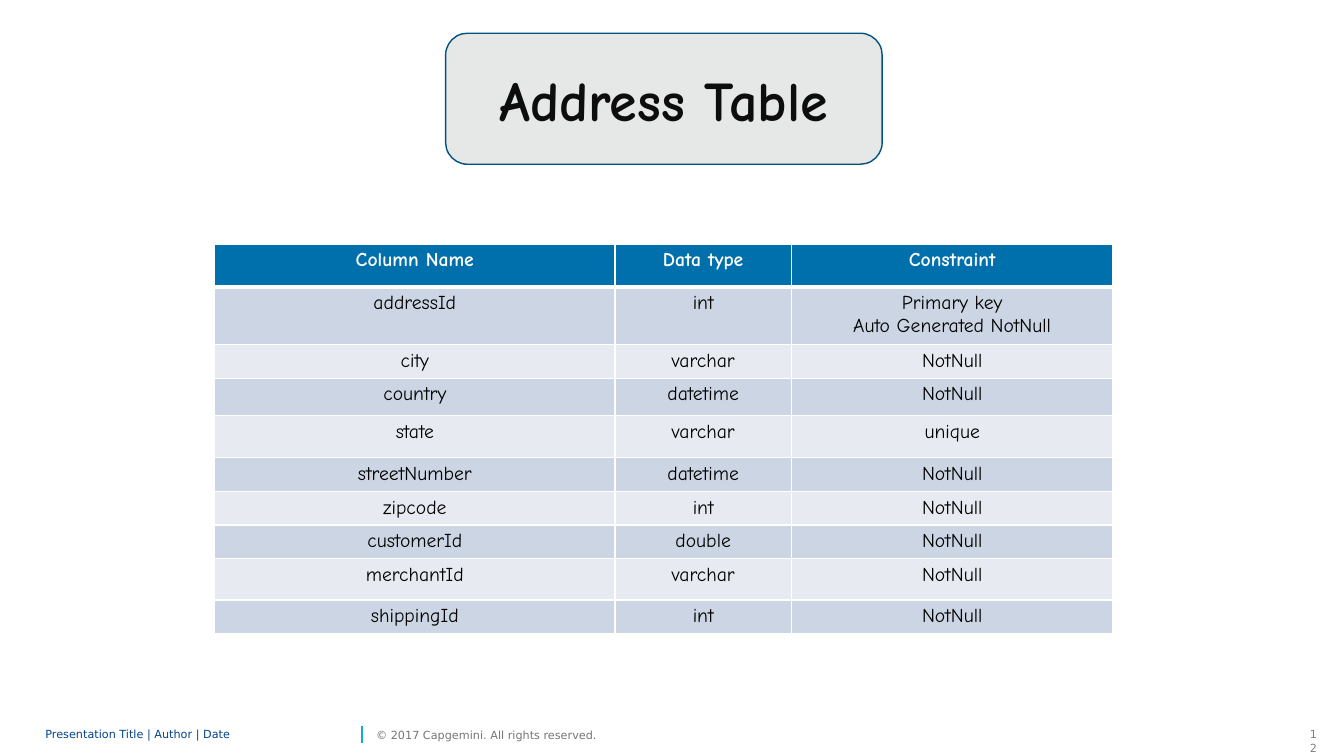
from pptx import Presentation
from pptx.dml.color import RGBColor
from pptx.enum.shapes import MSO_CONNECTOR, MSO_SHAPE
from pptx.enum.text import MSO_ANCHOR, PP_ALIGN
from pptx.oxml.ns import qn
from pptx.util import Pt
from lxml.etree import SubElement

PX = 9144
WHITE = "FFFFFF"
BANDS = ("CCD5E3", "E7EBF1")
COLUMN_WIDTHS = (397, 175, 319)
ROW_HEIGHTS = (43, 55, 32, 37, 42, 32, 32, 32, 41, 32)
ADDRESS_ROWS = (
    ("Column Name", "Data type", "Constraint"),
    ("addressId", "int", "Primary key\nAuto Generated NotNull"),
    ("city", "varchar", "NotNull"),
    ("country", "datetime", "NotNull"),
    ("state", "varchar", "unique"),
    ("streetNumber", "datetime", "NotNull"),
    ("zipcode", "int", "NotNull"),
    ("customerId", "double", "NotNull"),
    ("merchantId", "varchar", "NotNull"),
    ("shippingId", "int", "NotNull"),
)
TITLE_FONT = {"name": "Comic Neue", "size": Pt(40), "bold": True}
HEADER_FONT = {"name": "Comic Neue", "size": Pt(14), "bold": True}
BODY_FONT = {"name": "Comic Neue", "size": Pt(14), "bold": False}
FOOTER_FONT = {"name": "DejaVu Sans", "size": Pt(8)}
NO_MARGINS = dict.fromkeys(
    ("margin_left", "margin_top", "margin_right", "margin_bottom"), 0)


def px(*lengths):
    return [length * PX for length in lengths]


def set_attributes(target, values):
    for name, value in values.items():
        setattr(target, name, value)


def set_color(color_format, color):
    color_format.rgb = RGBColor.from_string(color)


def set_fill(fill, color):
    fill.solid()
    set_color(fill.fore_color, color)


def set_line(line, color):
    set_color(line.color, color)
    line.width = Pt(1)


def write_text(tf, text, font, color, paragraph_format):
    for i, line in enumerate(text.split("\n")):
        p = tf.add_paragraph() if i else tf.paragraphs[0]
        set_attributes(p, paragraph_format)
        r = p.add_run()
        r.text = line
        set_attributes(r.font, font)
        set_color(r.font.color, color)


def add_footer_text(s, box, text, color, frame_format, paragraph_format):
    tf = s.shapes.add_textbox(*px(*box)).text_frame
    set_attributes(tf, frame_format)
    write_text(tf, text, FOOTER_FONT, color, paragraph_format)


def add_divider(s, x, top, bottom, color):
    line = s.shapes.add_connector(MSO_CONNECTOR.STRAIGHT, *px(x, bottom, x, top))
    set_line(line.line, color)
    SubElement(line._element.spPr, qn("a:effectLst"))


def add_title(s, box, text):
    sp = s.shapes.add_shape(MSO_SHAPE.ROUNDED_RECTANGLE, *px(*box))
    sp.shadow.inherit = False
    set_fill(sp.fill, "E6E7E7")
    set_line(sp.line, "005380")
    sp.text_frame.vertical_anchor = MSO_ANCHOR.MIDDLE
    write_text(sp.text_frame, text, TITLE_FONT, "0D0D0D",
               {"alignment": PP_ALIGN.CENTER})


def set_borders(cell, widths):
    tc_pr = cell._tc.get_or_add_tcPr()
    for i, (side, width) in enumerate(widths.items()):
        border = SubElement(tc_pr, qn("a:" + side), w=str(Pt(width)))
        fill = SubElement(border, qn("a:solidFill"))
        SubElement(fill, qn("a:srgbClr"), val=WHITE)
        tc_pr.insert(i, border)


def add_address_table(s, left, top):
    size = px(sum(COLUMN_WIDTHS), sum(ROW_HEIGHTS))
    table = s.shapes.add_table(
        len(ADDRESS_ROWS), len(COLUMN_WIDTHS), *px(left, top), *size).table
    table.horz_banding = False
    for column, width in zip(table.columns, px(*COLUMN_WIDTHS)):
        column.width = width
    for row, height in zip(table.rows, px(*ROW_HEIGHTS)):
        row.height = height
    for i, texts in enumerate(ADDRESS_ROWS):
        header = i == 0
        fill = "0070AD" if header else BANDS[(i - 1) % 2]
        font, color = (HEADER_FONT, WHITE) if header else (BODY_FONT, "000000")
        borders = {"lnL": 1, "lnR": 1, "lnT": 3 if i == 1 else 1,
                   "lnB": 3 if header else 1}
        for j, text in enumerate(texts):
            cell = table.cell(i, j)
            set_fill(cell.fill, fill)
            set_borders(cell, borders)
            write_text(cell.text_frame, text, font, color,
                       {"alignment": PP_ALIGN.CENTER})


def main():
    prs = Presentation()
    prs.slide_width, prs.slide_height = px(1333, 750)
    s = prs.slides.add_slide(prs.slide_layouts[6])
    middle = {"vertical_anchor": MSO_ANCHOR.MIDDLE, **NO_MARGINS}
    add_footer_text(s, (1289, 717, 27, 24), "12", "808080",
                    {"word_wrap": True}, {"alignment": PP_ALIGN.RIGHT})
    add_divider(s, 359, 720, 737, "12ABDB")
    add_footer_text(s, (45, 717, 309, 24), "Presentation Title | Author | Date",
                    "00458D", {"word_wrap": True, **middle},
                    {"line_spacing": 0.85})
    add_footer_text(s, (373, 717, 243, 24),
                    "© 2017 Capgemini. All rights reserved.", "767676",
                    {"word_wrap": False, **middle}, {"alignment": PP_ALIGN.LEFT})
    add_title(s, (442, 33, 433, 130), "Address Table")
    add_address_table(s, 213, 242)
    prs.save("out.pptx")


if __name__ == "__main__":
    main()
